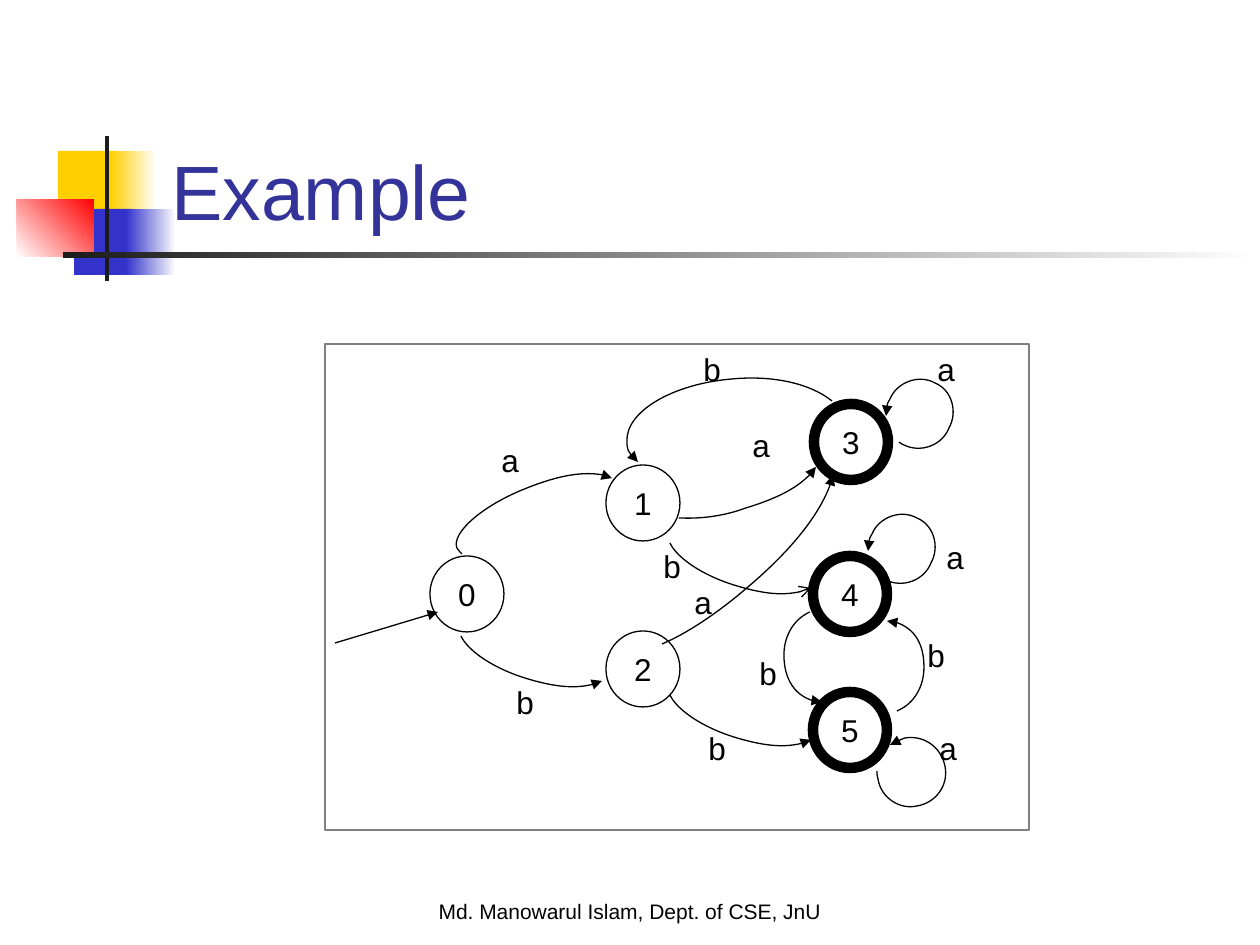
import pptx
import pptx.util
import pptx.dml.color
import pptx.enum.shapes
import pptx.enum.text
import pptx.oxml.ns
from lxml import etree

SCALE = 914400 / 126
FONT = "Arial"
COLORS = {
    "black": "000000", "white": "FFFFFF", "title": "333399", "yellow": "FFCF01",
    "blue": "3333CC", "red": "FF0000", "bar": "1C1C1C", "frame": "808080",
}

DECORATIONS = [
    ((58, 151, 60, 66), ("yellow",), 0),
    ((111, 151, 45, 66), ("yellow", "white"), 0),
    ((74, 209, 58, 66), ("blue",), 0),
    ((126, 209, 50, 66), ("blue", "white"), 0),
    ((17, 199, 77, 58), ("white", "red"), 45),
    ((105, 136, 4, 145), ("bar",), 0),
    ((63, 252, 1197, 6), ("bar", "white"), 0),
]

TITLE = ("Example", (159, 84, 1074, 158))
FOOTER = ("Md. Manowarul Islam, Dept. of CSE, JnU", (0, 892, 1260, 63))
FRAME = (325, 344, 704, 486)

STATE_SIZE = (74, 76)
STATES = [
    ("0", 430, 556, False), ("1", 606, 465, False), ("2", 606, 631, False),
    ("3", 814, 404, True), ("4", 813, 556, True), ("5", 813, 692, True),
]

LABEL_SIZE = (43, 50)
LABELS = [
    ("a", 489, 435), ("b", 504, 677), ("b", 691, 344), ("a", 740, 420),
    ("b", 651, 541), ("a", 682, 577), ("b", 696, 723), ("b", 747, 648),
    ("b", 915, 630), ("a", 925, 344), ("a", 934, 532), ("a", 927, 723),
]

START_ARROW = (335, 643, 438, 612)
DIP = [(670, 543), (677, 558), (703, 576), (737, 586), (767, 595), (796, 596), (811, 588)]
LOOP = [
    (881, 577), (882, 578), (885, 580), (886, 580), (902, 588), (924, 581), (931, 563),
    (940, 547), (934, 525), (917, 518), (901, 509), (879, 517), (872, 534),
    (869, 539), (868, 544), (868, 551),
]
LOOP_5 = [
    (877, 771), (877, 774), (877, 776), (878, 779), (881, 798), (900, 810), (917, 806),
    (936, 803), (949, 785), (945, 766), (941, 747), (924, 735), (905, 738),
    (900, 740), (895, 742), (890, 745),
]
FROM_0_TO_1 = [
    (462, 554), (460, 552), (459, 551), (457, 548), (451, 533), (483, 505), (527, 488),
    (562, 474), (597, 470), (612, 478),
]
FROM_3_TO_1 = [
    (832, 401), (811, 384), (774, 375), (732, 379), (672, 384), (625, 412), (627, 442),
    (627, 450), (631, 456), (638, 462),
]
FROM_1_TO_3 = [(679, 518), (698, 519), (722, 517), (746, 508), (779, 498), (806, 483), (816, 467)]
FROM_2_TO_3 = [(662, 644), (688, 633), (719, 612), (748, 587), (794, 548), (827, 504), (833, 475)]
FROM_4_TO_5 = [(810, 612), (794, 619), (784, 636), (784, 655), (784, 680), (800, 702), (822, 702)]
FROM_5_TO_4 = [(897, 711), (914, 704), (924, 687), (924, 667), (924, 641), (907, 621), (887, 621)]

TRANSITIONS = [
    (FROM_3_TO_1, (0, 0), "triangle"), (FROM_1_TO_3, (0, 0), "triangle"),
    (DIP, (0, 0), "arrow"), (DIP, (0, 152), "triangle"), (DIP, (-209, 93), "triangle"),
    (LOOP, (0, 0), "triangle"), (LOOP, (18, -135), "triangle"), (LOOP_5, (0, 0), "triangle"),
    (FROM_5_TO_4, (0, 0), "triangle"), (FROM_4_TO_5, (0, 0), "triangle"),
    (FROM_2_TO_3, (0, 0), "triangle"), (FROM_0_TO_1, (0, 0), "triangle"),
]

SHAPES = pptx.enum.shapes.MSO_SHAPE
ANCHOR = pptx.enum.text.MSO_ANCHOR
ALIGN = pptx.enum.text.PP_ALIGN
qn = pptx.oxml.ns.qn


def px(*lengths):
    return [pptx.util.Emu(round(length * SCALE)) for length in lengths]


def rgb(name):
    return pptx.dml.color.RGBColor.from_string(COLORS[name])


def set_line(shape, color="black", width=0.75):
    shape.line.color.rgb = rgb(color)
    shape.line.width = pptx.util.Pt(width)


def add_arrowhead(shape, kind):
    etree.SubElement(shape.line._get_or_add_ln(), qn("a:tailEnd"), type=kind)


def write(shape, text, size, color="black", align=ALIGN.LEFT, anchor=ANCHOR.TOP, wrap=False):
    frame = shape.text_frame
    frame.word_wrap = wrap
    frame.vertical_anchor = anchor
    paragraph = frame.paragraphs[0]
    paragraph.text = text
    paragraph.alignment = align
    paragraph.font.name = FONT
    paragraph.font.size = pptx.util.Pt(size)
    paragraph.font.color.rgb = rgb(color)


def add_preset(slide, preset, box):
    shape = slide.shapes.add_shape(preset, *px(*box))
    shape.shadow.inherit = False
    return shape


def add_decoration(slide, box, colors, angle):
    shape = add_preset(slide, SHAPES.RECTANGLE, box)
    shape.line.fill.background()
    if len(colors) == 1:
        shape.fill.solid()
        shape.fill.fore_color.rgb = rgb(colors[0])
        return
    shape.fill.gradient()
    shape.fill.gradient_angle = angle
    for stop, color in zip(shape.fill.gradient_stops, colors):
        stop.color.rgb = rgb(color)


def add_state(slide, name, left, top, accepting):
    shape = add_preset(slide, SHAPES.OVAL, (left, top, *STATE_SIZE))
    shape.fill.background()
    set_line(shape, width=6 if accepting else 0.75)
    write(shape, name, 18, align=ALIGN.CENTER, anchor=ANCHOR.MIDDLE)


def add_transition(slide, points, offset, head):
    moved = [(x + offset[0], y + offset[1]) for x, y in points]
    builder = slide.shapes.build_freeform(*moved[0], scale=SCALE)
    builder.add_line_segments(moved[1:], close=False)
    shape = builder.convert_to_shape()
    outline = shape._element.xpath(".//a:path")[0]
    segments = outline.findall(qn("a:lnTo"))
    for index in range(0, len(segments), 3):
        curve = etree.SubElement(outline, qn("a:cubicBezTo"))
        for segment in segments[index:index + 3]:
            curve.append(segment[0])
            outline.remove(segment)
    shape.shadow.inherit = False
    shape.fill.background()
    set_line(shape)
    add_arrowhead(shape, head)


def main():
    presentation = pptx.Presentation()
    presentation.slide_width, presentation.slide_height = px(1260, 945)
    slide = presentation.slides.add_slide(presentation.slide_layouts[6])

    for decoration in DECORATIONS:
        add_decoration(slide, *decoration)
    text, box = FOOTER
    write(slide.shapes.add_textbox(*px(*box)), text, 12, align=ALIGN.CENTER, wrap=True)
    text, box = TITLE
    write(slide.shapes.add_textbox(*px(*box)), text, 44, "title", anchor=ANCHOR.BOTTOM, wrap=True)

    for text, left, top in LABELS:
        write(slide.shapes.add_textbox(*px(left, top, *LABEL_SIZE)), text, 18)
    for state in STATES:
        add_state(slide, *state)
    for transition in TRANSITIONS:
        add_transition(slide, *transition)

    connector = slide.shapes.add_connector(
        pptx.enum.shapes.MSO_CONNECTOR.STRAIGHT, *px(*START_ARROW))
    set_line(connector)
    add_arrowhead(connector, "triangle")
    etree.SubElement(connector._element.spPr, qn("a:effectLst"))

    frame = add_preset(slide, SHAPES.RECTANGLE, FRAME)
    frame.fill.background()
    set_line(frame, "frame")
    presentation.save("out.pptx")


if __name__ == "__main__":
    main()
